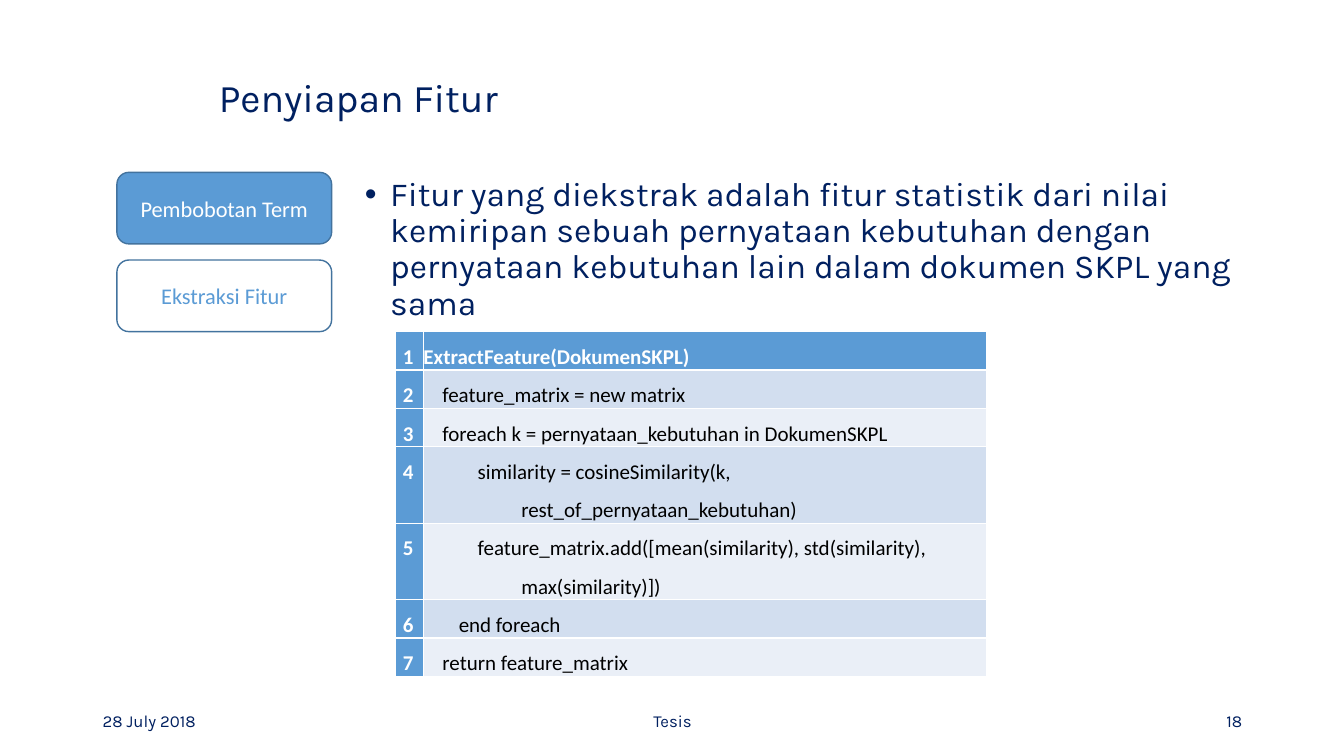
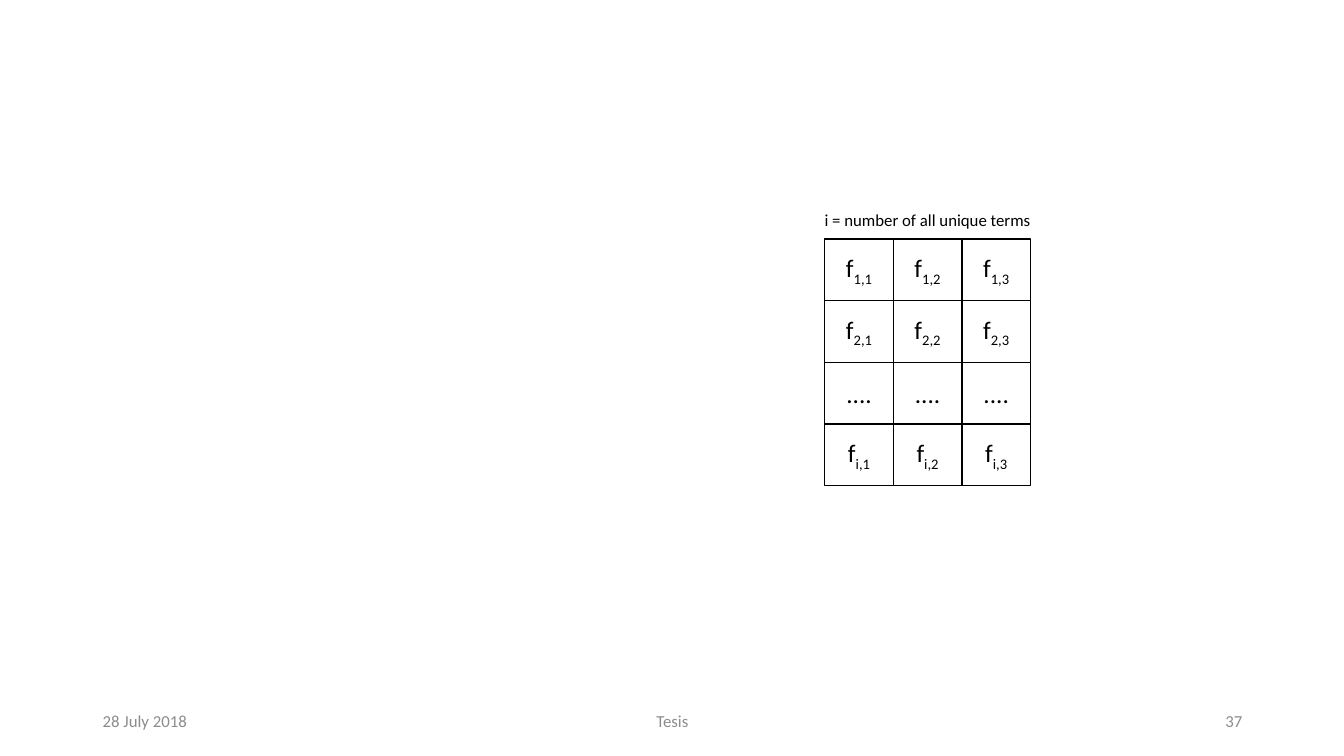
"""Build two thesis slides: feature extraction and the feature matrix."""
from dataclasses import dataclass

from lxml.etree import SubElement
from pptx import Presentation
from pptx.dml.color import RGBColor
from pptx.enum.shapes import MSO_SHAPE
from pptx.enum.text import MSO_ANCHOR, MSO_AUTO_SIZE, PP_ALIGN
from pptx.oxml.ns import qn
from pptx.slide import Slide
from pptx.text.text import TextFrame
from pptx.util import Inches, Pt

NAVY = RGBColor(0x00, 0x20, 0x60)
GRAY = RGBColor(0x8C, 0x8C, 0x8C)
BLUE = RGBColor(0x5B, 0x9B, 0xD5)
EDGE = RGBColor(0x43, 0x73, 0x9E)
DARK = RGBColor(0xD2, 0xDE, 0xEF)
LIGHT = RGBColor(0xEA, 0xEF, 0xF7)
WHITE = RGBColor(0xFF, 0xFF, 0xFF)
BLACK = RGBColor(0x00, 0x00, 0x00)
KARLA = "Karla"
CALIBRI = "Calibri"
LEFT, MID, RIGHT = PP_ALIGN.LEFT, PP_ALIGN.CENTER, PP_ALIGN.RIGHT


@dataclass
class Box:
    """A filled, outlined shape with centred text."""
    text: str
    left: float
    top: float
    width: float
    height: float
    sub: str = ""
    kind: MSO_SHAPE = MSO_SHAPE.RECTANGLE
    fill: RGBColor = WHITE
    line: RGBColor = BLACK
    ink: RGBColor = BLACK
    size: float = 18


@dataclass
class Code:
    """One numbered line of pseudocode."""
    text: str
    hang: bool = False
    lines: int = 1


CODE = [
    Code("ExtractFeature(DokumenSKPL)"),
    Code("    feature_matrix = new matrix"),
    Code("    foreach k = pernyataan_kebutuhan in DokumenSKPL"),
    Code("    similarity = cosineSimilarity(k, rest_of_pernyataan_kebutuhan)", True, 2),
    Code("    feature_matrix.add([mean(similarity), std(similarity), max(similarity)])", True, 2),
    Code("end foreach", True),
    Code("    return feature_matrix"),
]


def write(frame: TextFrame, text: str, *, size: float, ink: RGBColor = BLACK,
          font: str = CALIBRI, bold: bool = False, align: PP_ALIGN = LEFT,
          space: float = 1, sub: str = "", bullet: str = "",
          indent: tuple[float, float] = (0, 0)) -> None:
    """Fill a frame with one formatted paragraph."""
    para = frame.paragraphs[0]
    para.alignment = align
    para.line_spacing = space
    para.space_before = Pt(0)
    props = para._p.get_or_add_pPr()
    props.set("marL", str(Inches(indent[0])))
    props.set("indent", str(Inches(indent[1])))
    if bullet:
        SubElement(props, qn("a:buChar")).set("char", bullet)
    for part in filter(None, (text, sub)):
        run = para.add_run()
        run.text = part
        run.font.size = Pt(size)
        run.font.name = font
        run.font.bold = bold
        run.font.color.rgb = ink
    if sub:
        run._r.get_or_add_rPr().set("baseline", "-25000")


def place(shape, left: float, top: float, width: float, height: float) -> None:
    """Move and size a shape."""
    shape.left, shape.top = Inches(left), Inches(top)
    shape.width, shape.height = Inches(width), Inches(height)


def draw(slide: Slide, box: Box) -> None:
    """Draw one box."""
    shape = slide.shapes.add_shape(box.kind, Inches(box.left), Inches(box.top),
                                   Inches(box.width), Inches(box.height))
    shape.shadow.inherit = False
    shape.fill.solid()
    shape.fill.fore_color.rgb = box.fill
    shape.line.color.rgb = box.line
    shape.line.width = Pt(1)
    shape.text_frame.word_wrap = True
    shape.text_frame.vertical_anchor = MSO_ANCHOR.MIDDLE
    write(shape.text_frame, box.text, size=box.size, ink=box.ink, align=MID, sub=box.sub)


def footer(slide: Slide, page: str, font: str, ink: RGBColor) -> None:
    """Add the date, the label and the page number."""
    for text, left, width, align in (("28 July 2018", 0.92, 3, LEFT),
                                     ("Tesis", 4.42, 4.5, MID),
                                     (page, 9.42, 3, RIGHT)):
        frame = slide.shapes.add_textbox(Inches(left), Inches(6.95),
                                         Inches(width), Inches(0.4)).text_frame
        frame.word_wrap = True
        frame.vertical_anchor = MSO_ANCHOR.MIDDLE
        write(frame, text, size=12, ink=ink, font=font, align=align)


def listing(slide: Slide) -> None:
    """Add the table of numbered code lines."""
    step = 0.38
    total = step * sum(code.lines for code in CODE)
    table = slide.shapes.add_table(len(CODE), 2, Inches(3.92), Inches(3.29),
                                   Inches(5.87), Inches(total)).table
    table.first_col = True
    for col, width in zip(table.columns, (0.28, 5.59)):
        col.width = Inches(width)
    for row, code in enumerate(CODE):
        table.rows[row].height = Inches(step * code.lines)
        band = DARK if row % 2 else LIGHT
        for col, text in enumerate((str(row + 1), code.text)):
            cell = table.cell(row, col)
            head = row == 0 or col == 0
            cell.margin_left = cell.margin_top = cell.margin_bottom = 0
            cell.margin_right = Inches(0 if col else 0.1)
            cell.fill.solid()
            cell.fill.fore_color.rgb = BLUE if head else band
            write(cell.text_frame, text, size=15, ink=WHITE if head else BLACK,
                  bold=head, align=LEFT if col else RIGHT, space=1.5,
                  indent=(0.97, -0.62) if col and code.hang else (0, 0))


def feature(deck: Presentation) -> None:
    """Build the feature extraction slide."""
    slide = deck.slides.add_slide(deck.slide_layouts[1])
    title, body = slide.placeholders
    place(title, 2.07, 0.53, 11, 0.93)
    title.text_frame.vertical_anchor = MSO_ANCHOR.MIDDLE
    write(title.text_frame, "Penyiapan Fitur", size=28, ink=NAVY, font=KARLA, space=0.9)
    place(body, 3.52, 1.71, 9.15, 1.58)
    body.text_frame.auto_size = MSO_AUTO_SIZE.NONE
    write(body.text_frame,
          "Fitur yang diekstrak adalah fitur statistik dari nilai kemiripan sebuah "
          "pernyataan kebutuhan dengan pernyataan kebutuhan lain dalam dokumen SKPL "
          "yang sama",
          size=24, ink=NAVY, font=KARLA, space=0.9, bullet="•", indent=(0.25, -0.25))
    footer(slide, "18", KARLA, NAVY)
    for row, (text, fill, ink) in enumerate((("Pembobotan Term", BLUE, WHITE),
                                             ("Ekstraksi Fitur", WHITE, BLUE))):
        draw(slide, Box(text, 1.16, 1.71 + 0.87 * row, 2.13, 0.71, fill=fill, ink=ink,
                        kind=MSO_SHAPE.ROUNDED_RECTANGLE, line=EDGE, size=16))
    listing(slide)


def matrix(deck: Presentation) -> None:
    """Build the feature matrix slide."""
    slide = deck.slides.add_slide(deck.slide_layouts[6])
    footer(slide, "37", CALIBRI, GRAY)
    draw(slide, Box("i = number of all unique terms", 7.99, 2.05, 2.42, 0.26,
                    line=WHITE, size=12))
    names = ("1", "2", "", "i")
    wide, high = 0.68, 2.45 / len(names)
    for row, name in enumerate(names):
        for col in range(3):
            draw(slide, Box("f" if name else "....", 8.18 + wide * col, 2.37 + high * row,
                            wide, high, sub=f"{name},{col + 1}" if name else ""))


def main() -> None:
    """Build and save the deck."""
    deck = Presentation()
    deck.slide_width, deck.slide_height = Inches(13.33), Inches(7.5)
    feature(deck)
    matrix(deck)
    deck.save("out.pptx")


if __name__ == "__main__":
    main()
